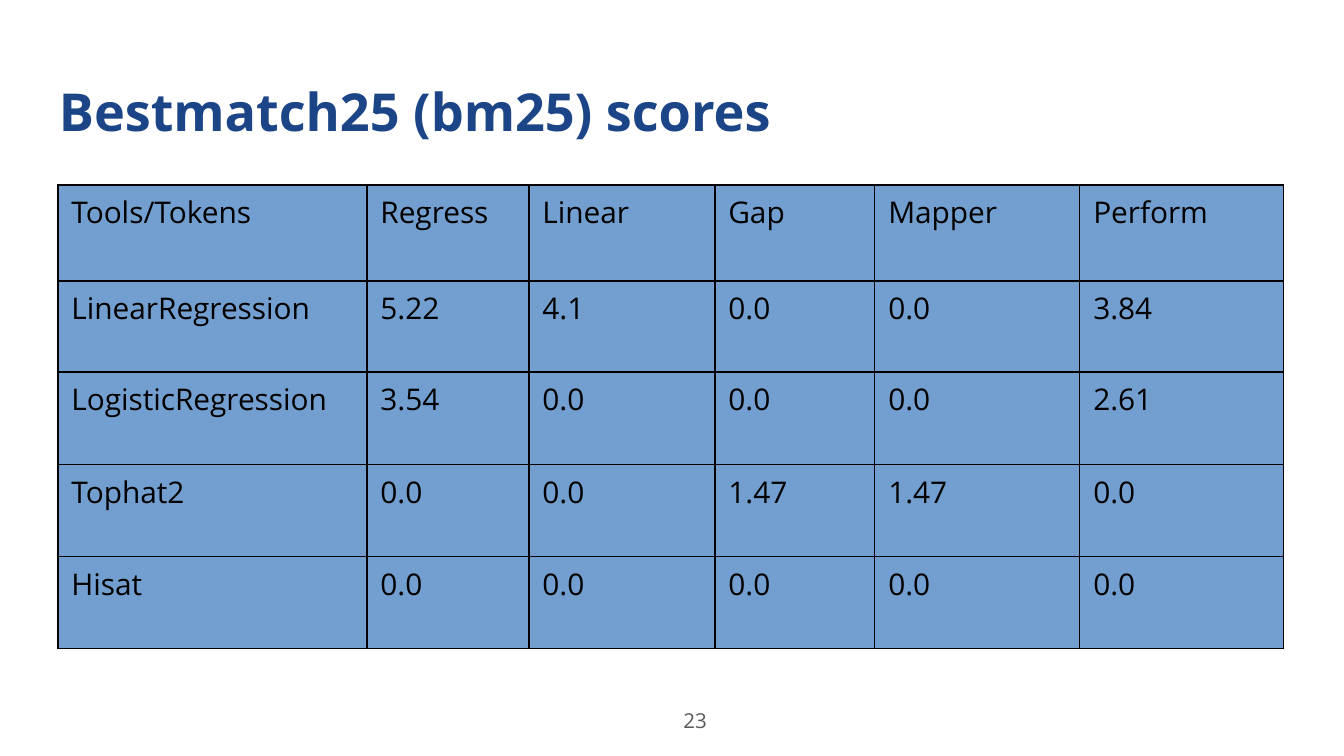
"""Build the slide with the table of bm25 scores."""
import pptx
import pptx.dml.color
import pptx.enum.text
import pptx.oxml
import pptx.oxml.ns
import pptx.util

PX = 914400 / 134.4
FONT = "Open Sans"
COLORS = {"title": "1C4587", "cell": "729FCF", "ink": "000000", "number": "595959"}
COLUMNS = [309, 162, 186, 160, 205, 204]
ROWS = [96, 91, 93, 92, 92]
SCORES = [
    ["Tools/Tokens", "Regress", "Linear", "Gap", "Mapper", "Perform"],
    ["LinearRegression", "5.22", "4.1", "0.0", "0.0", "3.84"],
    ["LogisticRegression", "3.54", "0.0", "0.0", "0.0", "2.61"],
    ["Tophat2", "0.0", "0.0", "1.47", "1.47", "0.0"],
    ["Hisat", "0.0", "0.0", "0.0", "0.0", "0.0"],
]


def px(*lengths):
    return [pptx.util.Emu(round(n * PX)) for n in lengths]


def add_run(p, text, size, color, bold=False):
    r = p.add_run()
    r.text = text
    r.font.name = FONT
    r.font.size = pptx.util.Pt(size)
    r.font.bold = bold
    r.font.color.rgb = pptx.dml.color.RGBColor.from_string(COLORS[color])


prs = pptx.Presentation()
prs.slide_width, prs.slide_height = px(1344, 756)
s = prs.slides.add_slide(prs.slide_layouts[6])

left = pptx.enum.text.PP_ALIGN.LEFT
right = pptx.enum.text.PP_ALIGN.RIGHT
top = pptx.enum.text.MSO_ANCHOR.TOP
middle = pptx.enum.text.MSO_ANCHOR.MIDDLE
for box, text, size, color, bold, align, anchor in [
    ((46, 66, 1252, 84), "Bestmatch25 (bm25) scores", 28, "title", True, left, top),
    ((640, 691, 80, 58), "23", 11, "number", False, right, middle),
]:
    tf = s.shapes.add_textbox(*px(*box)).text_frame
    tf.word_wrap = True
    tf.vertical_anchor = anchor
    tf.margin_left, tf.margin_top, tf.margin_right, tf.margin_bottom = px(13, 13, 13, 13)
    p = tf.paragraphs[0]
    p.alignment = align
    add_run(p, text, size, color, bold)

frame = s.shapes.add_table(
    len(ROWS), len(COLUMNS), *px(58, 185, sum(COLUMNS), sum(ROWS)))
table = frame.table
for column, width in zip(table.columns, COLUMNS):
    column.width = px(width)[0]
for row, height, values in zip(table.rows, ROWS, SCORES):
    row.height = px(height)[0]
    for cell, value in zip(row.cells, values):
        add_run(cell.text_frame.paragraphs[0], value, 16, "ink")
        tc_pr = cell._tc.get_or_add_tcPr()
        for side in ("lnL", "lnR", "lnT", "lnB"):
            tc_pr.append(pptx.oxml.parse_xml(
                f'<a:{side} {pptx.oxml.ns.nsdecls("a")} w="{pptx.util.Pt(0.75)}">'
                f'<a:solidFill><a:srgbClr val="{COLORS["ink"]}"/></a:solidFill>'
                f'</a:{side}>'))
        cell.fill.solid()
        cell.fill.fore_color.rgb = pptx.dml.color.RGBColor.from_string(COLORS["cell"])

prs.save("out.pptx")
